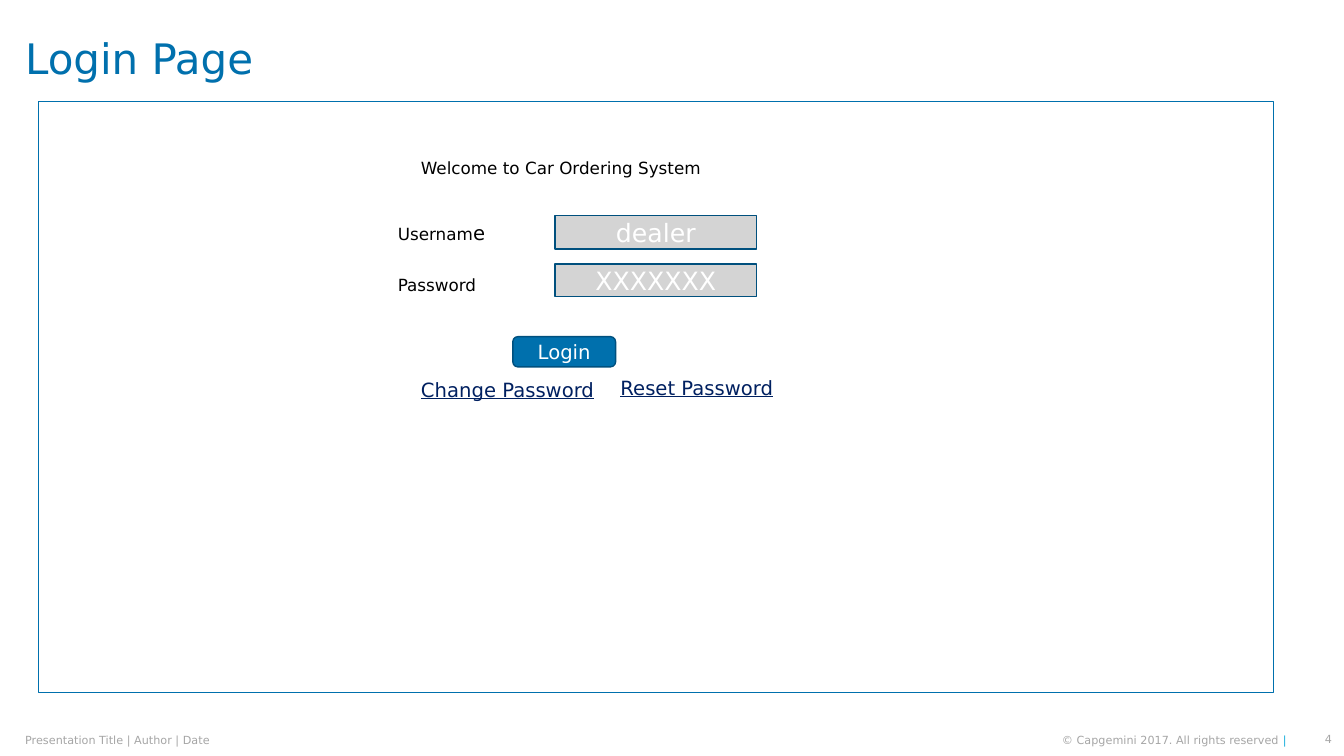
from dataclasses import dataclass

from pptx import Presentation
from pptx.dml.color import RGBColor
from pptx.enum.shapes import MSO_SHAPE
from pptx.enum.text import MSO_ANCHOR, PP_ALIGN
from pptx.shapes.autoshape import Shape
from pptx.slide import Slide
from pptx.util import Inches, Pt

RECTANGLE, ROUNDED = MSO_SHAPE.RECTANGLE, MSO_SHAPE.ROUNDED_RECTANGLE
TOP, MIDDLE = MSO_ANCHOR.TOP, MSO_ANCHOR.MIDDLE
LEFT, CENTER, RIGHT = PP_ALIGN.LEFT, PP_ALIGN.CENTER, PP_ALIGN.RIGHT

BLUE = RGBColor(0x00, 0x70, 0xAD)
CYAN = RGBColor(0x12, 0xAB, 0xDB)
DARK_BLUE = RGBColor(0x00, 0x50, 0x7E)
NAVY = RGBColor(0x00, 0x20, 0x60)
FIELD_GRAY = RGBColor(0xD4, 0xD4, 0xD4)
FOOTER_GRAY = RGBColor(0xA6, 0xA6, 0xA6)
WHITE = RGBColor(0xFF, 0xFF, 0xFF)
BLACK = RGBColor(0x00, 0x00, 0x00)
FONT = "DejaVu Sans"


@dataclass(frozen=True)
class Box:
    left: float
    top: float
    width: float
    height: float


@dataclass(frozen=True)
class Span:
    text: str
    size: float
    color: RGBColor


@dataclass(frozen=True)
class Label:
    box: Box
    spans: tuple[Span, ...]
    underline: bool = False


@dataclass(frozen=True)
class Control:
    """A filled input field or button."""
    box: Box
    caption: Span
    fill: RGBColor
    kind: MSO_SHAPE = RECTANGLE


@dataclass(frozen=True)
class FooterPart:
    box: Box
    spans: tuple[Span, ...]
    align: PP_ALIGN


TITLE_BOX = Box(0.25, 0, 12.17, 1.21)
PAGE_FRAME = Box(0.38, 1.01, 12.26, 5.86)

LABELS = (
    Label(Box(4.08, 1.52, 4.8, 0.3), (Span("Welcome to Car Ordering System", 12, BLACK),)),
    Label(Box(3.85, 2.14, 1.41, 0.34), (Span("Usernam", 12, BLACK), Span("e", 14, BLACK))),
    Label(Box(3.85, 2.68, 1.41, 0.3), (Span("Password", 12, BLACK),)),
    Label(Box(4.08, 3.7, 2.21, 0.34), (Span("Change Password", 14, NAVY),), underline=True),
    Label(Box(6.06, 3.68, 2.21, 0.34), (Span("Reset Password", 14, NAVY),), underline=True),
)

CONTROLS = (
    Control(Box(5.51, 2.14, 2, 0.33), Span("dealer", 18, WHITE), FIELD_GRAY),
    Control(Box(5.51, 2.62, 2, 0.32), Span("XXXXXXX", 18, WHITE), FIELD_GRAY),
    Control(Box(5.09, 3.34, 1.02, 0.3), Span("Login", 14, WHITE), BLUE, ROUNDED),
)

FOOTER = (
    FooterPart(Box(0.25, 7.27, 5.16, 0.14),
               (Span("Presentation Title | Author | Date", 8, FOOTER_GRAY),), LEFT),
    FooterPart(Box(9.86, 7.27, 2.91, 0.14),
               (Span("© Capgemini 2017. All rights reserved ", 8, FOOTER_GRAY),
                Span("|", 8, CYAN)), RIGHT),
    FooterPart(Box(12.67, 7.26, 0.55, 0.15), (Span("4", 8, FOOTER_GRAY),), RIGHT),
)


def inches(box: Box) -> tuple[Inches, Inches, Inches, Inches]:
    return Inches(box.left), Inches(box.top), Inches(box.width), Inches(box.height)


def write_text(shape: Shape, *spans: Span, align: PP_ALIGN = LEFT,
               anchor: MSO_ANCHOR = TOP, inset: bool = True,
               underline: bool = False, line_spacing: float = 1.0) -> None:
    frame = shape.text_frame
    frame.word_wrap = True
    frame.vertical_anchor = anchor
    frame.margin_left = frame.margin_right = Inches(0.1 if inset else 0)
    frame.margin_top = frame.margin_bottom = Inches(0.05 if inset else 0)
    paragraph = frame.paragraphs[0]
    paragraph.alignment = align
    paragraph.line_spacing = line_spacing
    for span in spans:
        run = paragraph.add_run()
        run.text = span.text
        run.font.name = FONT
        run.font.size = Pt(span.size)
        run.font.color.rgb = span.color
        run.font.underline = underline


def add_panel(slide: Slide, box: Box, fill: RGBColor, outline: RGBColor,
              kind: MSO_SHAPE = RECTANGLE) -> Shape:
    panel = slide.shapes.add_shape(kind, *inches(box))
    panel.shadow.inherit = False
    panel.fill.solid()
    panel.fill.fore_color.rgb = fill
    panel.line.color.rgb = outline
    panel.line.width = Pt(1)
    return panel


def main() -> None:
    deck = Presentation()
    deck.slide_width, deck.slide_height = Inches(13.34), Inches(7.5)
    slide = deck.slides.add_slide(deck.slide_layouts[6])

    title = slide.shapes.add_textbox(*inches(TITLE_BOX))
    write_text(title, Span("Login Page", 30, BLUE), anchor=MIDDLE, inset=False,
               line_spacing=0.9)
    add_panel(slide, PAGE_FRAME, WHITE, BLUE)

    for control in CONTROLS:
        panel = add_panel(slide, control.box, control.fill, DARK_BLUE, control.kind)
        write_text(panel, control.caption, align=CENTER, anchor=MIDDLE)
    for label in LABELS:
        label_box = slide.shapes.add_textbox(*inches(label.box))
        write_text(label_box, *label.spans, underline=label.underline)
    for part in FOOTER:
        footer_box = slide.shapes.add_textbox(*inches(part.box))
        write_text(footer_box, *part.spans, align=part.align, anchor=MIDDLE, inset=False)

    deck.save("out.pptx")


if __name__ == "__main__":
    main()
